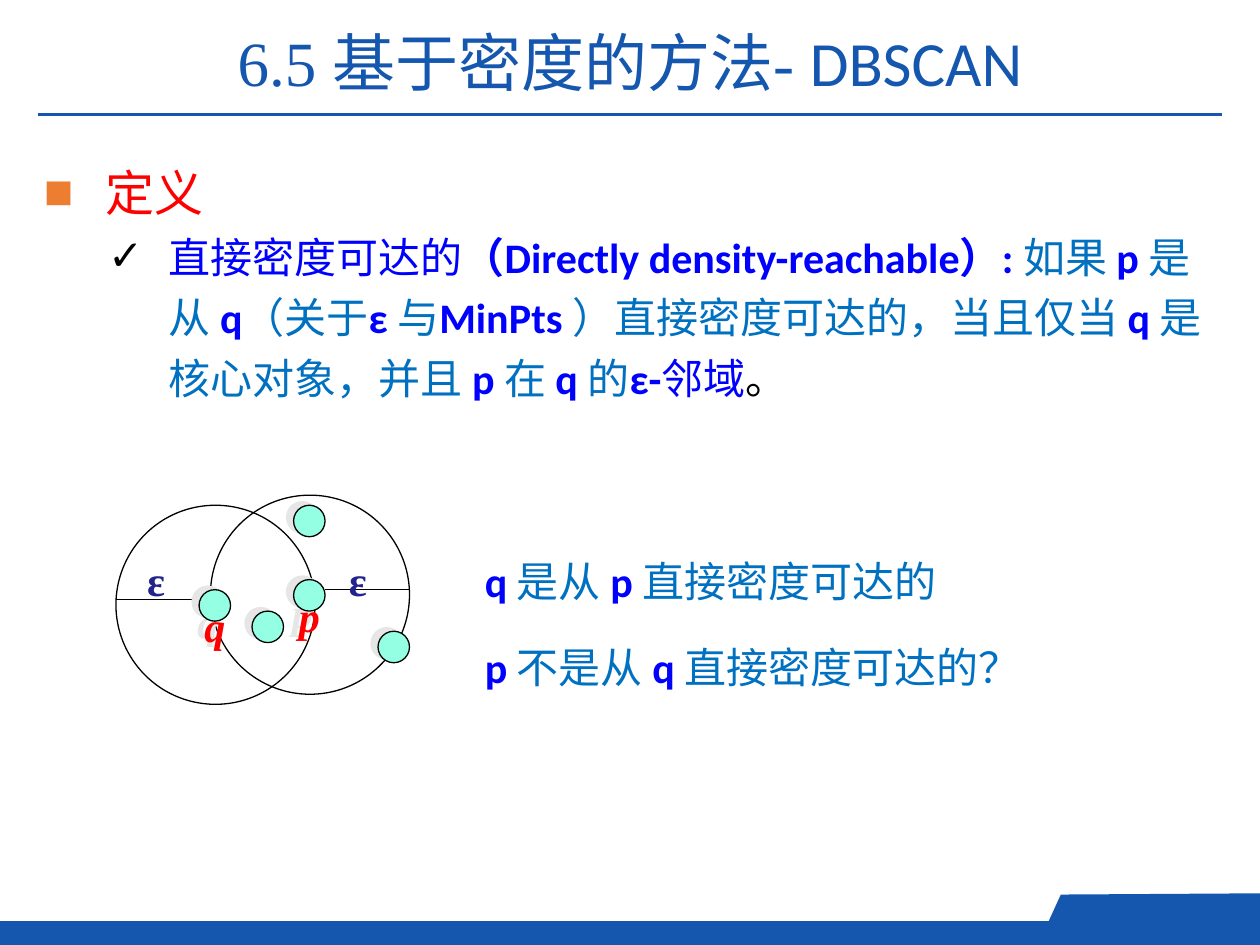
from dataclasses import dataclass

from lxml import etree
from pptx import Presentation
from pptx.dml.color import RGBColor
from pptx.enum.shapes import MSO_CONNECTOR, MSO_SHAPE
from pptx.enum.text import MSO_ANCHOR, MSO_AUTO_SIZE, PP_ALIGN
from pptx.oxml.ns import qn
from pptx.util import Inches, Pt


@dataclass(frozen=True)
class Theme:
    brand: str = "1557AE"
    bullet: str = "ED7D31"
    red: str = "FF0000"
    term: str = "0000FF"
    prose: str = "0070C0"
    radius: str = "23238E"
    point: str = "95FFE3"
    shadow: str = "E7E6E6"
    black: str = "000000"
    latin: str = "Calibri"
    serif: str = "Times New Roman"
    cjk: str = "Noto Sans CJK SC"
    title_size: int = 36
    heading_size: int = 28
    body_size: int = 24
    thin: float = 0.75


class SlideBuilder:
    def __init__(self, slide, theme):
        self.slide = slide
        self.theme = theme

    def style(self, font, size=None, name=None, color=None, bold=None, italic=None):
        """Apply only the given settings; East Asian glyphs use the CJK font."""
        if size:
            font.size = Pt(size)
        if color:
            font.color.rgb = RGBColor.from_string(color)
        if bold is not None:
            font.bold = bold
        if italic is not None:
            font.italic = italic
        if name:
            font.name = name
            latin = font._element.find(qn("a:latin"))
            east_asian = etree.Element(qn("a:ea"), typeface=self.theme.cjk)
            latin.addnext(east_asian)

    def runs(self, paragraph, pieces):
        """Add (text, style) pieces to a paragraph."""
        for text, settings in pieces:
            run = paragraph.add_run()
            run.text = text
            self.style(run.font, **settings)

    def bullet(self, paragraph, symbol, color, margin, hanging, level=0):
        paragraph.level = level
        properties = paragraph._p.get_or_add_pPr()
        properties.set("marL", str(Inches(margin)))
        properties.set("indent", str(-Inches(hanging)))
        bullet_color = etree.SubElement(properties, qn("a:buClr"))
        etree.SubElement(bullet_color, qn("a:srgbClr"), val=color)
        etree.SubElement(properties, qn("a:buFont"), typeface="Arial")
        etree.SubElement(properties, qn("a:buChar"), char=symbol)

    def title(self, pieces, left, top, width, height):
        title = self.slide.shapes.title
        title.left, title.top = Inches(left), Inches(top)
        title.width, title.height = Inches(width), Inches(height)
        frame = title.text_frame
        frame.auto_size = MSO_AUTO_SIZE.NONE
        frame.vertical_anchor = MSO_ANCHOR.MIDDLE
        paragraph = frame.paragraphs[0]
        paragraph.alignment = PP_ALIGN.CENTER
        self.style(paragraph.font, self.theme.title_size, color=self.theme.brand)
        self.runs(paragraph, pieces)

    def text_box(self, left, top, width, height, wrap=True):
        box = self.slide.shapes.add_textbox(
            Inches(left), Inches(top), Inches(width), Inches(height))
        box.text_frame.word_wrap = wrap
        return box.text_frame

    def line(self, start, end, color, weight):
        points = [Inches(value) for value in (*start, *end)]
        connector = self.slide.shapes.add_connector(MSO_CONNECTOR.STRAIGHT, *points)
        connector.line.color.rgb = RGBColor.from_string(color)
        connector.line.width = Pt(weight)
        etree.SubElement(connector._element.spPr, qn("a:effectLst"))

    def fill_solid(self, shape, color):
        shape.shadow.inherit = False
        shape.fill.solid()
        shape.fill.fore_color.rgb = RGBColor.from_string(color)

    def band(self, left, top, width, height):
        band = self.slide.shapes.add_shape(
            MSO_SHAPE.RECTANGLE, Inches(left), Inches(top), Inches(width), Inches(height))
        self.fill_solid(band, self.theme.brand)
        band.line.fill.background()

    def polygon(self, points):
        corners = [(Inches(x), Inches(y)) for x, y in points]
        builder = self.slide.shapes.build_freeform(*corners[0])
        builder.add_line_segments(corners[1:], close=True)
        outline = builder.convert_to_shape()
        self.fill_solid(outline, self.theme.brand)
        outline.line.fill.background()

    def circle(self, left, top, diameter):
        circle = self.slide.shapes.add_shape(
            MSO_SHAPE.OVAL, Inches(left), Inches(top), Inches(diameter), Inches(diameter))
        circle.shadow.inherit = False
        circle.fill.background()
        circle.line.color.rgb = RGBColor.from_string(self.theme.black)
        circle.line.width = Pt(self.theme.thin)
        return circle

    def point(self, left, top, name=""):
        dot = self.circle(left, top, 0.25)
        self.fill_solid(dot, self.theme.point)
        effects = dot._element.spPr.find(qn("a:effectLst"))
        shadow = etree.SubElement(
            effects, qn("a:outerShdw"), blurRad="0", dist=str(Pt(4.5)),
            dir=str(207 * 60000), algn="ctr", rotWithShape="0")
        etree.SubElement(shadow, qn("a:srgbClr"), val=self.theme.shadow)
        if name:
            frame = dot.text_frame
            frame.vertical_anchor = MSO_ANCHOR.TOP
            self.label(frame, name, self.theme.red, italic=True)

    def label(self, frame, text, color, italic=False):
        frame.word_wrap = False
        paragraph = frame.paragraphs[0]
        paragraph.text = text
        paragraph.alignment = PP_ALIGN.CENTER
        self.style(paragraph.font, self.theme.body_size, self.theme.serif,
                   color, True, italic)


def add_definition(page, theme, term, prose):
    frame = page.text_box(0.25, 1.1, 9.5, 5.31)
    heading = frame.paragraphs[0]
    heading.text = "定义"
    page.bullet(heading, "■", theme.bullet, 0.49, 0.49)
    heading.line_spacing = 1.3
    page.style(heading.font, theme.heading_size, theme.cjk, theme.red)

    definition = frame.add_paragraph()
    page.bullet(definition, "✓", theme.black, 0.99, 0.48, level=1)
    definition.line_spacing = 1.2
    page.style(definition.font, theme.body_size)
    plain_term = dict(term, bold=False)
    page.runs(definition, [
        ("直接密度可达的", dict(plain_term, name=theme.cjk)),
        ("（Directly density-reachable）: ", term),
        ("如果 ", prose), ("p ", term), ("是从 ", prose), ("q", term),
        ("（关于", prose), ("ε ", term), ("与", prose), ("MinPts ", term),
        ("）直接密度可达的，当且仅当 ", prose), ("q ", term),
        ("是核心对象，并且 ", prose), ("p ", term), ("在 ", prose), ("q ", term),
        ("的", prose), ("ε-", term), ("邻域", plain_term),
        ("。", dict(prose, color=theme.black)),
    ])


def add_neighbourhoods(page, theme):
    page.line((0.92, 4.76), (1.58, 4.76), theme.black, theme.thin)
    for left, top in [(0.92, 4.01), (1.67, 3.93)]:
        page.circle(left, top, 1.58)
    for left, top, name in [(2.33, 4.01, ""), (1.58, 4.68, "q"), (2, 4.85, ""),
                            (3, 5.01, ""), (2.33, 4.6, "p")]:
        page.point(left, top, name)
    page.line((2.58, 4.68), (3.25, 4.68), theme.black, theme.thin)
    for left in (2.67, 1.07):
        page.label(page.text_box(left, 4.35, 0.34, 0.5), "ε", theme.radius)


def add_statements(page, theme, term, prose):
    frame = page.text_box(3.75, 4.16, 5.67, 1.3)
    statements = [("q ", "是从 ", "p ", "直接密度可达的"),
                  ("p ", "不是从 ", "q ", "直接密度可达的？")]
    for index, pieces in enumerate(statements):
        paragraph = frame.add_paragraph() if index else frame.paragraphs[0]
        paragraph.line_spacing = 1.5
        if index:
            paragraph.space_before = Pt(6)
        page.style(paragraph.font, theme.body_size)
        page.runs(paragraph, zip(pieces, (term, dict(prose, name=theme.latin)) * 2))


def main():
    theme = Theme()
    deck = Presentation()
    deck.slide_width, deck.slide_height = Inches(10), Inches(7.5)
    page = SlideBuilder(deck.slides.add_slide(deck.slide_layouts[5]), theme)
    term = dict(name=theme.latin, color=theme.term, bold=True)
    prose = dict(name=theme.cjk, color=theme.prose, bold=False)

    page.band(0, 7.31, 10, 0.19)
    page.polygon([(10, 7.45), (10, 7.09), (8.42, 7.1), (8.26, 7.45)])
    page.line((0.3, 0.91), (9.7, 0.91), theme.brand, 1.5)
    page.title([("6.5 基于密度的方法- ", dict(name=theme.serif)),
                ("DBSCAN", dict(name=theme.latin))], -0.71, 0.13, 11.42, 0.71)
    add_definition(page, theme, term, prose)
    add_neighbourhoods(page, theme)
    add_statements(page, theme, term, prose)
    deck.save("out.pptx")


if __name__ == "__main__":
    main()
